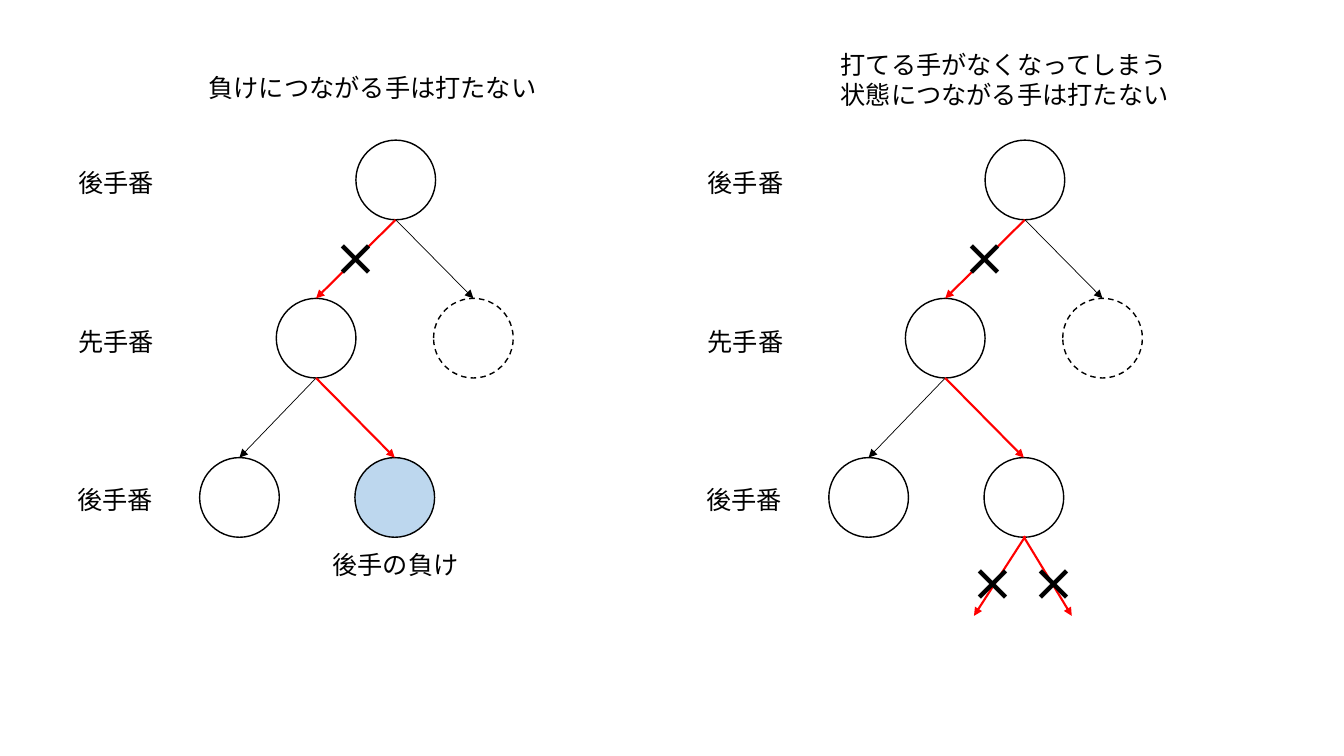
from dataclasses import dataclass

from lxml import etree
from pptx import Presentation
from pptx import util as u
from pptx.dml.color import RGBColor
from pptx.enum import dml, shapes, text
from pptx.oxml import ns

PX = 9144  # 100 px to the inch


@dataclass
class Theme:
    font: str = "Noto Sans CJK JP"
    ink: str = "000000"
    paper: str = "FFFFFF"
    losing: str = "BDD7EE"
    bad_move: str = "FF0000"
    body: int = 18
    cross: int = 32


class Board:
    """Draws game-tree elements on the current slide."""

    def __init__(self, slide, theme):
        self.slide, self.theme = slide, theme

    def label(self, words, x, y, w, h, size=None, bold=False, wrap=False):
        sp = self.slide.shapes.add_textbox(*(n * PX for n in (x, y, w, h)))
        tf = sp.text_frame
        tf.word_wrap = wrap
        tf.auto_size = text.MSO_AUTO_SIZE.SHAPE_TO_FIT_TEXT
        r = tf.paragraphs[0].add_run()
        r.text = words
        r.font.size = u.Pt(size or self.theme.body)
        r.font.bold = bold
        r.font.name = self.theme.font
        r.font.color.rgb = RGBColor.from_string(self.theme.ink)
        # East Asian text takes its typeface from a:ea
        ea = etree.SubElement(r.font._element, ns.qn("a:ea"))
        ea.set("typeface", self.theme.font)
        return sp

    def cross(self, x, y):
        self.label("×", x, y, 76, 64, size=self.theme.cross, bold=True, wrap=True)

    def node(self, x, y, fill=None, dashed=False):
        sp = self.slide.shapes.add_shape(
            shapes.MSO_SHAPE.OVAL, x * PX, y * PX, 79 * PX, 79 * PX)
        sp.shadow.inherit = False
        sp.fill.solid()
        sp.fill.fore_color.rgb = RGBColor.from_string(fill or self.theme.paper)
        sp.line.color.rgb = RGBColor.from_string(self.theme.ink)
        sp.line.width = u.Pt(1)
        if dashed:
            sp.line.dash_style = dml.MSO_LINE.DASH
        return sp

    def arrow(self, x1=0, y1=0, x2=0, y2=0, bad=False):
        line = self.slide.shapes.add_connector(
            shapes.MSO_CONNECTOR.STRAIGHT, x1 * PX, y1 * PX, x2 * PX, y2 * PX)
        color = self.theme.bad_move if bad else self.theme.ink
        line.line.color.rgb = RGBColor.from_string(color)
        line.line.width = u.Pt(1.5 if bad else 0.5)
        tail = etree.SubElement(line.line._get_or_add_ln(), ns.qn("a:tailEnd"))
        tail.set("type", "triangle")
        etree.SubElement(line._element.spPr, ns.qn("a:effectLst"))
        return line

    def move(self, parent, child, bad=False):
        line = self.arrow(bad=bad)
        line.begin_connect(parent, 2)
        line.end_connect(child, 0)
        # An ellipse has eight sites, and its bottom is number 4
        line._element.nvCxnSpPr.cNvCxnSpPr.stCxn.set("idx", "4")

    def tree(self, left, last_fill=None):
        top, middle, bottom = 139, 296, 454
        # Whose turn it is on each level
        for turn, x, y in (("後手番", 68, 161), ("先手番", 68, 319), ("後手番", 67, 476)):
            self.label(turn, left + x, y, 96, 40)
        # Positions
        root = self.node(left + 353, top)
        chosen = self.node(left + 274, middle)
        other = self.node(left + 430, middle, dashed=True)
        safe = self.node(left + 198, bottom)
        last = self.node(left + 352, bottom, fill=last_fill)
        # Moves
        self.move(root, chosen, bad=True)
        self.move(root, other)
        self.move(chosen, safe)
        self.move(chosen, last, bad=True)
        self.cross(left + 321, 225)


def main():
    prs = Presentation()
    prs.slide_width, prs.slide_height = u.Inches(13.33), u.Inches(7.5)
    theme = Theme()
    board = Board(prs.slides.add_slide(prs.slide_layouts[6]), theme)

    # Left: a move that leads to a loss
    board.label("負けにつながる手は打たない", 197, 67, 362, 40, wrap=True)
    board.tree(0, last_fill=theme.losing)
    board.label("後手の負け", 320, 540, 146, 40)

    # Right: a move that leads to a dead end
    board.label("打てる手がなくなってしまう状態につながる手は打たない",
                824, 44, 362, 71, wrap=True)
    board.tree(624)
    for start, end, cross in ((1017, 966, 953), (1015, 1063, 1013)):
        board.arrow(start, 532, end, 611, bad=True)
        board.cross(cross, 547)

    prs.save("out.pptx")


if __name__ == "__main__":
    main()
